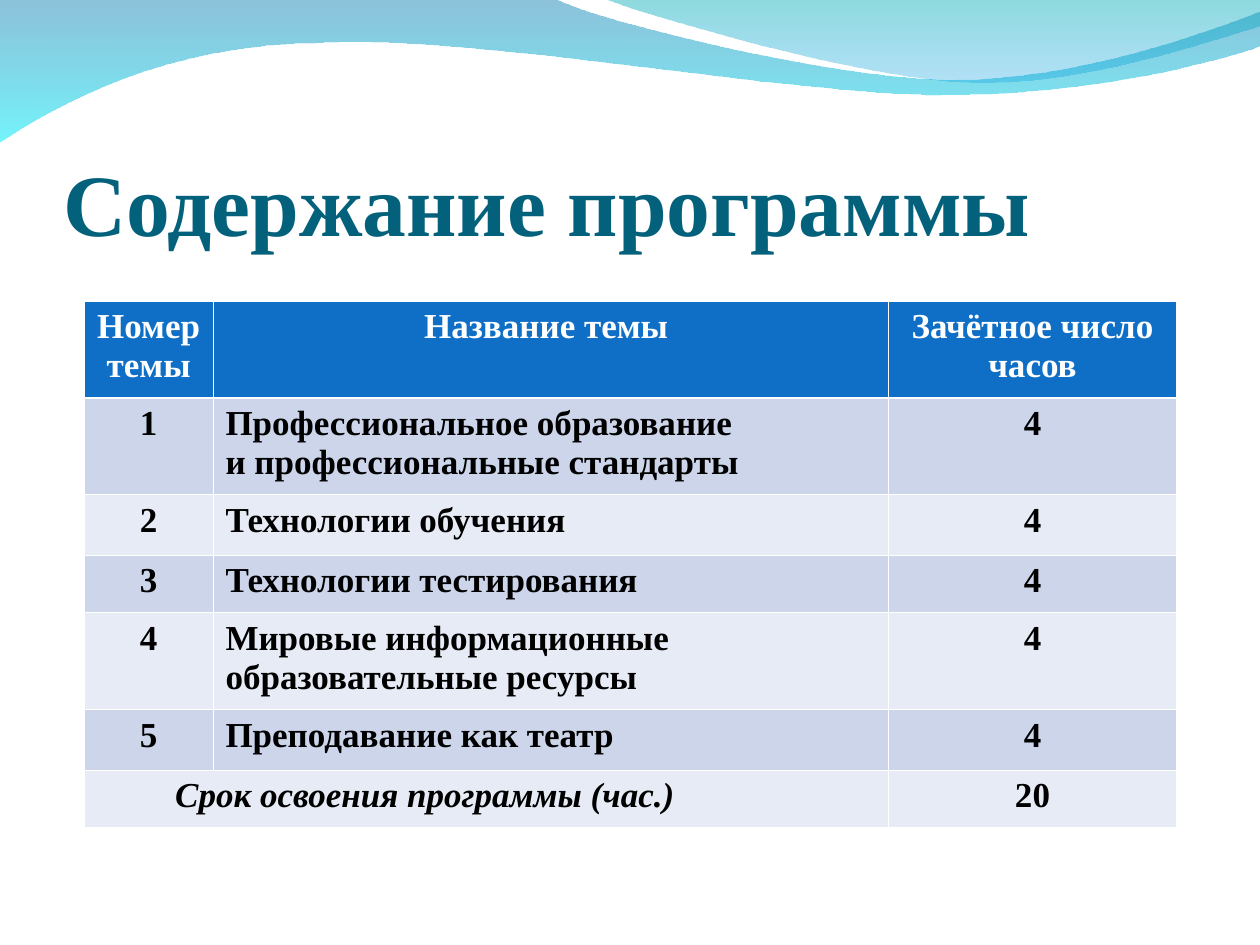
import pptx
import pptx.dml.color
import pptx.enum.text
import pptx.oxml
import pptx.oxml.ns
import pptx.util

RGB = pptx.dml.color.RGBColor
ALIGN = pptx.enum.text.PP_ALIGN
WHITE = RGB(0xFF, 0xFF, 0xFF)
BLACK = RGB(0, 0, 0)
TEAL = RGB(0x04, 0x61, 0x7B)
BLUE = RGB(0x0F, 0x6F, 0xC6)
BANDS = [RGB(0xE7, 0xEB, 0xF5), RGB(0xCC, 0xD5, 0xEA)]
NS = pptx.oxml.ns.nsdecls("a")

# The slide is a grid of 1000 columns by 750 rows.
COLS, ROWS = 1000, 750
UNIT = pptx.util.Inches(10) // COLS

# Each wave: start, then lines (one point) and curves (three points).
BACK = [[(0, -1)], [(440, -1)], [(476, 17), (664, 63), (758, 63)],
        [(853, 63), (958, 26), (1000, 9)], [(1001, 36)],
        [(983, 44), (870, 76), (746, 75)], [(622, 75), (382, 28), (257, 34)],
        [(129, 35), (46, 83), (-1, 113)]]
FRONT = [[(479, -1)], [(509, 11), (682, 62), (769, 65)],
         [(856, 69), (961, 32), (1000, 21)], [(1000, 0)]]
WAVES = [(BACK, [(RGB(0, 0x79, 0xAF), 45), (RGB(0, 0xEB, 0xF8), 55)]),
         (FRONT, [(RGB(0, 0xAD, 0xB6), 45), (RGB(0, 0x9B, 0xE5), 30)])]

WIDTHS = [102, 536, 229]
HEIGHTS = [77, 77, 48, 46, 77, 48, 46]
HEAD = ["Номер темы", "Название темы ", "Зачётное число часов"]
TOPICS = ["Профессиональное образование\nи профессиональные стандарты",
          "Технологии обучения", "Технологии тестирования",
          "Мировые информационные образовательные ресурсы",
          "Преподавание как театр"]
HOURS = 4
TOTAL = "Срок освоения программы (час.)"


def write(frame, text, size=20, color=BLACK, align=ALIGN.LEFT, italic=False,
          indent=0):
    frame.text = text
    for para in frame.paragraphs:
        para.alignment = align
        if indent:
            para._p.get_or_add_pPr().set("marL", str(indent * UNIT))
        for run in para.runs:
            font = run.font
            font.name, font.size = "Times New Roman", pptx.util.Pt(size)
            font.bold, font.italic = True, italic
            font.color.rgb = color


def bend(wave, parts):
    """Join the three lines of each curve into one Bézier segment."""
    lines = wave.element.iter(pptx.oxml.ns.qn("a:lnTo"))
    lines = iter(list(lines))
    for part in parts[1:]:
        group = [next(lines) for point in part]
        if len(group) == 3:
            curve = pptx.oxml.parse_xml(f"<a:cubicBezTo {NS}/>")
            group[0].addprevious(curve)
            for line in group:
                curve.append(line[0])
                line.getparent().remove(line)


def add_wave(slide, parts, stops):
    points = [(x * UNIT, y * UNIT) for part in parts for x, y in part]
    pen = slide.shapes.build_freeform(*points[0])
    pen.add_line_segments(points[1:], close=True)
    wave = pen.convert_to_shape()
    bend(wave, parts)
    wave.shadow.inherit = False
    wave.line.fill.background()
    wave.fill.gradient()
    wave.fill.gradient_angle = 270
    for stop, (color, share) in zip(wave.fill.gradient_stops, stops):
        stop.color.rgb = color
    tones = wave.element.spPr.iter(pptx.oxml.ns.qn("a:srgbClr"))
    for tone, (color, share) in zip(tones, stops):
        tone.append(pptx.oxml.parse_xml(f'<a:alpha {NS} val="{share * 1000}"/>'))
    slide.shapes.title.element.addprevious(wave.element)


def add_title(slide, box, text):
    title = slide.shapes.title
    title.left, title.top, title.width, title.height = [v * UNIT for v in box]
    frame = title.text_frame
    frame.margin_left = frame.margin_right = frame.margin_bottom = 0
    frame.margin_top = 5 * UNIT
    frame.vertical_anchor = pptx.enum.text.MSO_ANCHOR.BOTTOM
    frame.auto_size = pptx.enum.text.MSO_AUTO_SIZE.NONE
    frame.word_wrap = True
    write(frame, text, size=50, color=TEAL)


def style(cell, row):
    """Give the cell white borders and the fill of its row."""
    edges = {"L": 0.45, "R": 0.45, "T": 1.47 if row == 1 else 0.45,
             "B": 1.47 if row == 0 else 0.45}
    props = cell._tc.get_or_add_tcPr()
    for side, width in edges.items():
        props.append(pptx.oxml.parse_xml(
            f'<a:ln{side} {NS} w="{pptx.util.Pt(width)}"><a:solidFill>'
            f'<a:srgbClr val="{WHITE}"/></a:solidFill></a:ln{side}>'))
    cell.fill.solid()
    cell.fill.fore_color.rgb = BANDS[row % 2] if row else BLUE


def add_plan(slide, box):
    last = len(HEIGHTS) - 1
    table = slide.shapes.add_table(len(HEIGHTS), len(WIDTHS),
                                   *[v * UNIT for v in box]).table
    table.first_row = table.horz_banding = False
    for col, share in zip(table.columns, WIDTHS):
        col.width = box[2] * UNIT * share // sum(WIDTHS)
    for row, share in zip(table.rows, HEIGHTS):
        row.height = box[3] * UNIT * share // sum(HEIGHTS)
    for r in range(len(HEIGHTS)):
        for c in range(len(WIDTHS)):
            style(table.cell(r, c), r)
    for c, text in enumerate(HEAD):
        write(table.cell(0, c).text_frame, text, color=WHITE,
              align=ALIGN.CENTER)
    for r, topic in enumerate(TOPICS, 1):
        write(table.cell(r, 0).text_frame, str(r), align=ALIGN.CENTER)
        write(table.cell(r, 1).text_frame, topic)
        write(table.cell(r, 2).text_frame, str(HOURS), align=ALIGN.CENTER)
    table.cell(last, 0).merge(table.cell(last, 1))
    write(table.cell(last, 0).text_frame, TOTAL, italic=True, indent=62)
    write(table.cell(last, 2).text_frame, str(HOURS * len(TOPICS)),
          align=ALIGN.CENTER)


def main():
    deck = pptx.Presentation()
    deck.slide_width, deck.slide_height = COLS * UNIT, ROWS * UNIT
    slide = deck.slides.add_slide(deck.slide_layouts.get_by_name("Title Only"))
    for parts, stops in WAVES:
        add_wave(slide, parts, stops)
    add_title(slide, (50, 77, 900, 125), "Содержание программы")
    add_plan(slide, (67, 239, 867, 418))
    deck.save("out.pptx")


if __name__ == "__main__":
    main()
